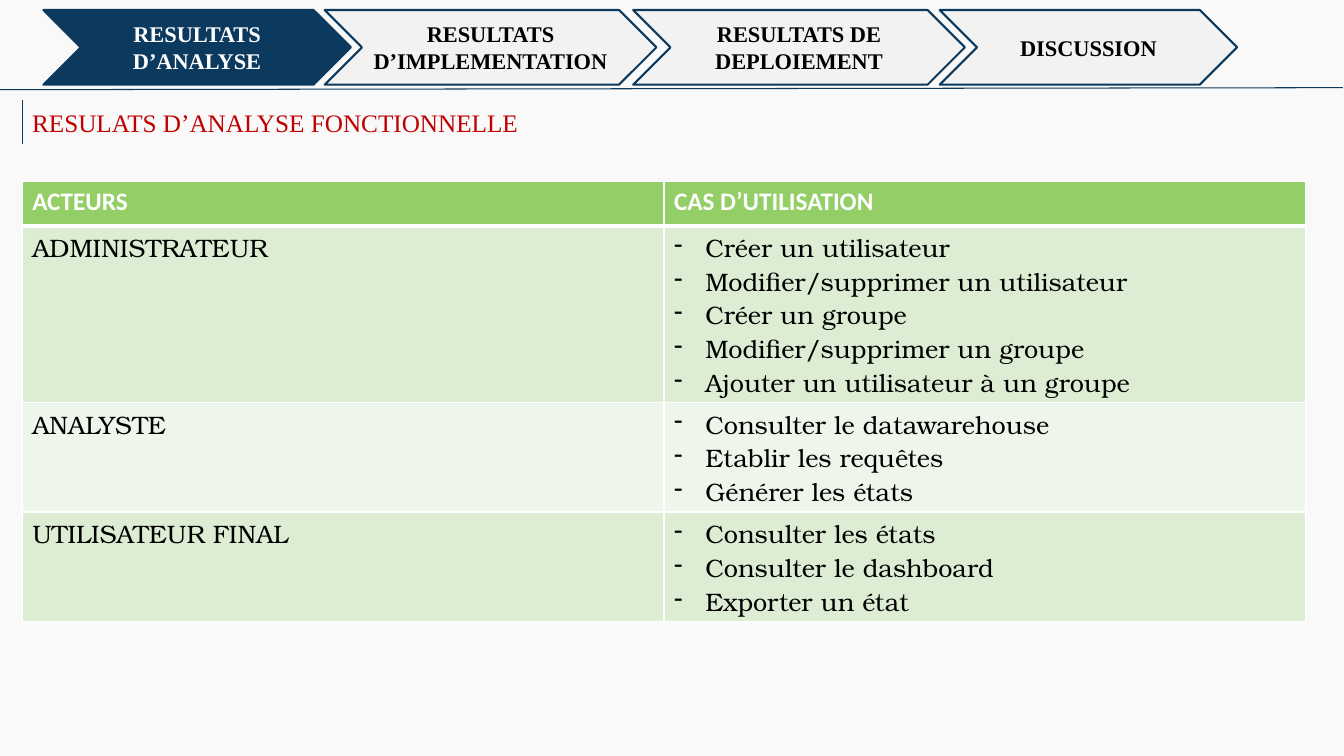
from dataclasses import dataclass

from lxml.etree import SubElement
from pptx import Presentation
from pptx.dml.color import RGBColor
from pptx.enum.shapes import MSO_CONNECTOR, MSO_SHAPE
from pptx.enum.text import MSO_ANCHOR, PP_ALIGN
from pptx.oxml import parse_xml
from pptx.oxml.ns import nsdecls, qn
from pptx.util import Inches, Pt


@dataclass(frozen=True)
class Theme:
    background: str = "F9F9F9"
    navy: str = "0C395E"
    inactive: str = "F2F2F2"
    white: str = "FFFFFF"
    black: str = "000000"
    red: str = "C00000"
    header: str = "94CE67"
    bands: tuple = ("DCEDD3", "EEF6EB")
    title_font: str = "Times New Roman"
    header_font: str = "Calibri"
    body_font: str = "TeX Gyre Bonum"
    step_size: int = 16
    text_size: int = 18


THEME = Theme()

# Label, left and width of each step; the first one is active
STEPS = [
    ("RESULTATS D’ANALYSE", 0.43, 3.05),
    ("RESULTATS D’IMPLEMENTATION", 3.22, 3.29),
    ("RESULTATS DE DEPLOIEMENT", 6.28, 3.29),
    ("DISCUSSION", 9.32, 2.95),
]
HEADINGS = ["ACTEURS", "CAS D’UTILISATION"]
USE_CASES = {
    "ADMINISTRATEUR": [
        "Créer un utilisateur",
        "Modifier/supprimer un utilisateur",
        "Créer un groupe",
        "Modifier/supprimer un groupe",
        "Ajouter un utilisateur à un groupe",
    ],
    "ANALYSTE": [
        "Consulter le datawarehouse",
        "Etablir les requêtes",
        "Générer les états",
    ],
    "UTILISATEUR FINAL": [
        "Consulter les états",
        "Consulter le dashboard",
        "Exporter un état",
    ],
}
ROW_HEIGHTS = [0.44, 1.75, 1.09, 1.09]


def color(value):
    return RGBColor.from_string(value)


def write(paragraph, text, *, font, ink, size=THEME.text_size, bold=False,
          align=PP_ALIGN.LEFT, dash=False):
    paragraph.alignment = align
    run = paragraph.add_run()
    run.text = text
    run.font.name = font
    run.font.size = Pt(size)
    run.font.bold = bold
    run.font.color.rgb = color(ink)
    if dash:
        properties = paragraph._p.get_or_add_pPr()
        properties.set("marL", str(Inches(0.31)))
        properties.set("indent", str(-Inches(0.31)))
        SubElement(properties, qn("a:buFontTx"))
        SubElement(properties, qn("a:buChar")).set("char", "-")


def add_step(slide, label, left, width, active):
    shape = slide.shapes.add_shape(
        MSO_SHAPE.CHEVRON, Inches(left), Inches(0.1), Inches(width), Inches(0.74))
    shape.shadow.inherit = False
    shape.fill.solid()
    shape.fill.fore_color.rgb = color(THEME.navy if active else THEME.inactive)
    shape.line.color.rgb = color(THEME.navy)
    shape.line.width = Pt(1.5)
    frame = shape.text_frame
    frame.word_wrap = True
    frame.vertical_anchor = MSO_ANCHOR.MIDDLE
    write(frame.paragraphs[0], label, font=THEME.title_font, size=THEME.step_size,
          ink=THEME.white if active else THEME.black, bold=True,
          align=PP_ALIGN.CENTER)


def add_rule(slide, start, end):
    points = [Inches(value) for value in (*start, *end)]
    connector = slide.shapes.add_connector(MSO_CONNECTOR.STRAIGHT, *points)
    connector.line.color.rgb = color(THEME.navy)
    connector.line.width = Pt(0.75)
    SubElement(connector._element.spPr, qn("a:effectLst"))


def add_title(slide, text):
    box = slide.shapes.add_textbox(
        Inches(0.22), Inches(1.02), Inches(7.65), Inches(0.4))
    box.text_frame.word_wrap = True
    write(box.text_frame.paragraphs[0], text, font=THEME.title_font, ink=THEME.red)


def style_cell(cell, fill, top=1, bottom=1):
    cell.fill.solid()
    cell.fill.fore_color.rgb = color(fill)
    # Borders come before the fill in the cell properties
    properties = cell._tc.get_or_add_tcPr()
    widths = {"lnL": 1, "lnR": 1, "lnT": top, "lnB": bottom}
    for position, (side, width) in enumerate(widths.items()):
        properties.insert(position, parse_xml(
            f'<a:{side} {nsdecls("a")} w="{Pt(width)}"><a:solidFill>'
            f'<a:srgbClr val="{THEME.white}"/></a:solidFill></a:{side}>'))


def add_use_case_table(slide):
    table = slide.shapes.add_table(
        len(ROW_HEIGHTS), len(HEADINGS), Inches(0.22), Inches(1.8),
        Inches(12.73), Inches(sum(ROW_HEIGHTS))).table
    table.first_row = False
    table.horz_banding = False
    for row, height in zip(table.rows, ROW_HEIGHTS):
        row.height = Inches(height)

    # Header row
    for cell, heading in zip(table.rows[0].cells, HEADINGS):
        style_cell(cell, THEME.header, bottom=3)
        write(cell.text_frame.paragraphs[0], heading, font=THEME.header_font,
              ink=THEME.white, bold=True)

    # One row per actor, with alternating bands
    for index, (actor, cases) in enumerate(USE_CASES.items()):
        actor_cell, cases_cell = table.rows[index + 1].cells
        for cell in (actor_cell, cases_cell):
            style_cell(cell, THEME.bands[index % 2], top=3 if index == 0 else 1)
        write(actor_cell.text_frame.paragraphs[0], actor,
              font=THEME.body_font, ink=THEME.black)
        frame = cases_cell.text_frame
        for number, case in enumerate(cases):
            paragraph = frame.add_paragraph() if number else frame.paragraphs[0]
            write(paragraph, case, font=THEME.body_font, ink=THEME.black, dash=True)


def main():
    presentation = Presentation()
    presentation.slide_width = Inches(13.33)
    presentation.slide_height = Inches(7.5)
    slide = presentation.slides.add_slide(presentation.slide_layouts[6])
    slide.background.fill.solid()
    slide.background.fill.fore_color.rgb = color(THEME.background)

    # Progress bar
    for index, (label, left, width) in enumerate(STEPS):
        add_step(slide, label, left, width, active=index == 0)
    add_rule(slide, (-0.02, 0.89), (13.32, 0.87))

    # Section title and its side rule
    add_rule(slide, (0.22, 0.99), (0.22, 1.43))
    add_title(slide, "RESULATS D’ANALYSE FONCTIONNELLE")

    add_use_case_table(slide)
    presentation.save("out.pptx")


if __name__ == "__main__":
    main()
